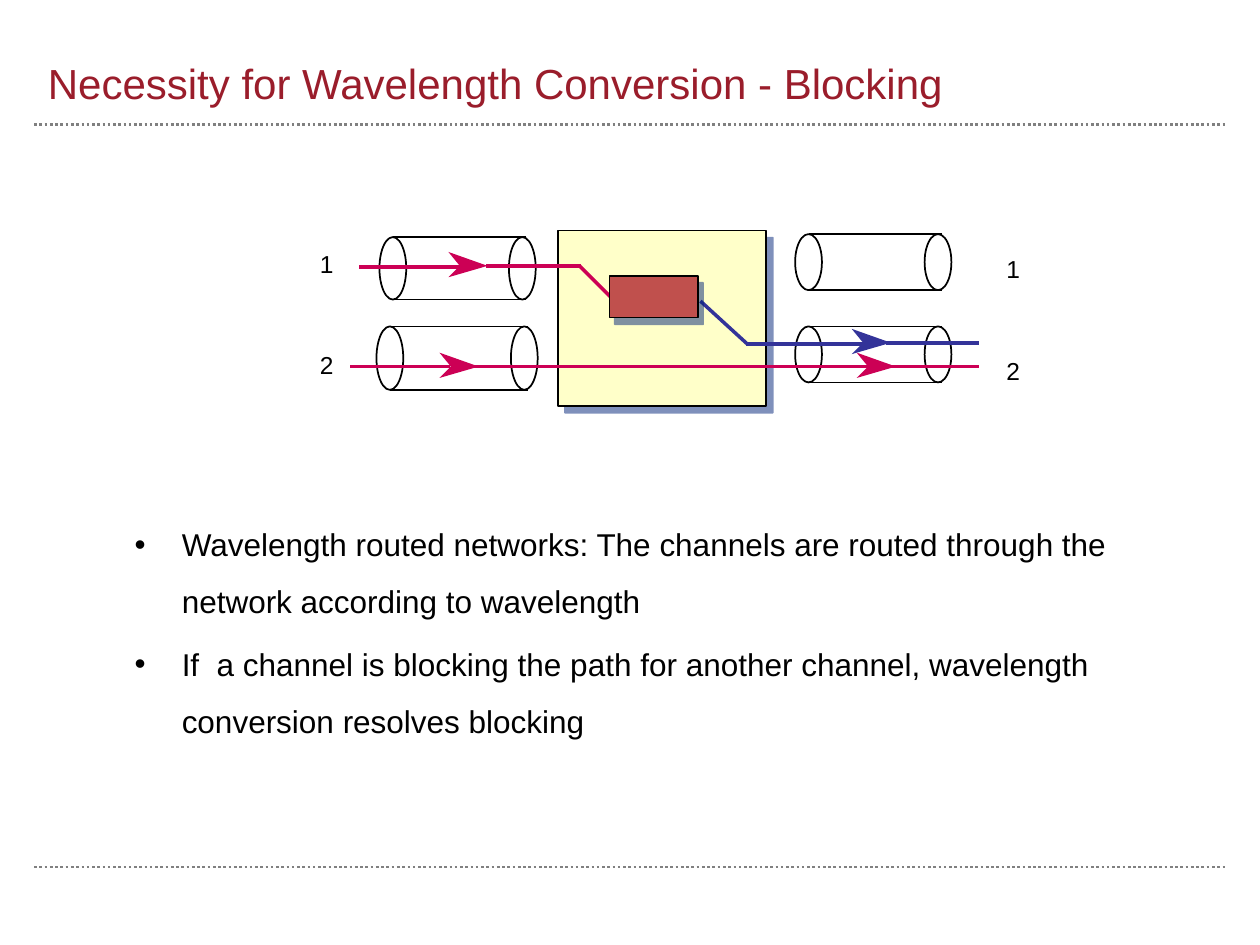
from dataclasses import dataclass
from lxml import etree
from pptx import Presentation
from pptx import util as u
from pptx.dml.color import RGBColor
from pptx.enum import dml, shapes, text
from pptx.oxml.ns import qn


@dataclass(frozen=True)
class Theme:
    font: str = "Arial"
    title: str = "9A1D2B"
    ink: str = "000000"
    paper: str = "FFFFFF"
    rule: str = "808080"
    node: str = "FFFFC9"
    conv: str = "C0504D"
    red: str = "CC0055"
    blue: str = "333399"
    shade: str = "012379"
    head: int = 24
    body: int = 18
    label: int = 14


T = Theme()


def hue(code):
    return RGBColor.from_string(code)


def place(shape, x, y, w, h):
    shape.left, shape.top = u.Cm(x), u.Cm(y)
    shape.width, shape.height = u.Cm(w), u.Cm(h)


def write(para, words, size, color):
    run = para.add_run()
    run.text = words
    run.font.name = T.font
    run.font.size = u.Pt(size)
    run.font.color.rgb = hue(color)


def line(slide, start, end, color, width=2, dash=None):
    ends = [u.Cm(v) for v in (*start, *end)]
    link = slide.shapes.add_connector(shapes.MSO_CONNECTOR.STRAIGHT, *ends)
    link.line.color.rgb = hue(color)
    link.line.width = u.Pt(width)
    if dash:
        link.line.dash_style = dash
    etree.SubElement(link._element.spPr, qn("a:effectLst"))


def solid(slide, kind, spot, fill):
    shape = slide.shapes.add_shape(kind, *[u.Cm(v) for v in spot])
    shape.shadow.inherit = False
    shape.fill.solid()
    shape.fill.fore_color.rgb = hue(fill)
    shape.line.color.rgb = hue(T.ink)
    shape.line.width = u.Pt(1)
    return shape


def shade(shape, dist, angle):
    effects = shape._element.spPr.find(qn("a:effectLst"))
    outer = etree.SubElement(effects, qn("a:outerShdw"), blurRad="0",
                             dist=str(u.Pt(dist)), dir=str(angle * 60000),
                             algn="ctr", rotWithShape="0")
    color = etree.SubElement(outer, qn("a:srgbClr"), val=T.shade)
    etree.SubElement(color, qn("a:alpha"), val="50000")


def block(slide, spot, fill, dist, angle):
    shade(solid(slide, shapes.MSO_SHAPE.RECTANGLE, spot, fill), dist, angle)


def fiber(slide, x, y, w, h):
    cap = 0.54
    oval = shapes.MSO_SHAPE.OVAL
    solid(slide, oval, (x, y, cap, h), T.paper)
    for edge in (y, y + h):
        line(slide, (x + cap / 2, edge), (x + w - 0.2, edge), T.ink, 1)
    solid(slide, oval, (x + w - cap, y, cap, h), T.paper)


def arrow(slide, x, y, color):
    tail = [(-0.79, 0.23), (-0.56, 0), (-0.79, -0.28)]
    path = slide.shapes.build_freeform(u.Cm(x), u.Cm(y))
    path.add_line_segments([(u.Cm(x + dx), u.Cm(y + dy)) for dx, dy in tail])
    shape = path.convert_to_shape()
    shape.shadow.inherit = False
    shape.fill.solid()
    shape.fill.fore_color.rgb = hue(color)
    shape.line.fill.background()


def label(slide, x, y, words):
    box = slide.shapes.add_textbox(u.Cm(x), u.Cm(y), u.Cm(0.79), u.Cm(0.86))
    box.text_frame.word_wrap = False
    write(box.text_frame.paragraphs[0], words, T.label, T.ink)


def title(slide, words):
    shape = slide.shapes.title
    place(shape, 0.71, 0.91, 20.4, 1.4)
    frame = shape.text_frame
    frame.auto_size = text.MSO_AUTO_SIZE.NONE
    frame.vertical_anchor = text.MSO_ANCHOR.BOTTOM
    para = frame.paragraphs[0]
    para.alignment = text.PP_ALIGN.LEFT
    write(para, words, T.head, T.title)


def points(slide, items):
    shape = slide.placeholders[1]
    place(shape, 2.46, 10.08, 21.59, 5.56)
    frame = shape.text_frame
    frame.auto_size = text.MSO_AUTO_SIZE.NONE
    for i, words in enumerate(items):
        para = frame.add_paragraph() if i else frame.paragraphs[0]
        para.line_spacing = 1.5
        para.space_before = u.Pt(3.6 if i else 0)
        props = para._p.get_or_add_pPr()
        props.set("marL", str(u.Cm(0.95)))
        props.set("indent", str(u.Cm(-0.95)))
        etree.SubElement(props, qn("a:buFont"), typeface=T.font)
        etree.SubElement(props, qn("a:buChar"), char="•")
        write(para, words, T.body, T.ink)


def diagram(slide):
    for spot in [(7.65, 4.78, 3.15, 1.26), (7.59, 6.58, 3.25, 1.28),
                 (16.03, 4.72, 3.15, 1.13), (16.03, 6.58, 3.15, 1.13)]:
        fiber(slide, *spot)
    block(slide, (11.25, 4.65, 4.19, 3.53), T.node, 5.7, 45)

    paths = [
        (T.red, (7.24, 5.38), (9.27, 5.38)),
        (T.red, (9.8, 5.36), (11.71, 5.36)),
        (T.red, (11.68, 5.36), (12.34, 6.02)),
        (T.red, (7.06, 7.39), (9.07, 7.39)),
        (T.red, (9.47, 7.39), (17.5, 7.39)),
        (T.red, (17.86, 7.39), (19.74, 7.39)),
        (T.blue, (14.12, 6.07), (15.06, 6.93)),
        (T.blue, (15.04, 6.93), (17.4, 6.93)),
        (T.blue, (17.86, 6.91), (19.74, 6.91)),
    ]
    for color, start, end in paths:
        line(slide, start, end, color)
    for x, y, color in [(9.83, 5.36, T.red), (9.65, 7.39, T.red),
                        (17.96, 6.91, T.blue), (18.06, 7.39, T.red)]:
        arrow(slide, x, y, color)

    block(slide, (12.29, 5.56, 1.78, 0.84), T.conv, 5, 53)
    for x, y, words in [(6.2, 4.9, "1"), (6.2, 6.93, "2"),
                        (20.04, 5, "1"), (20.04, 7.06, "2")]:
        label(slide, x, y, words)


def main():
    deck = Presentation()
    deck.slide_width, deck.slide_height = u.Cm(25.4), u.Cm(19.05)
    slide = deck.slides.add_slide(deck.slide_layouts[1])
    for y in (2.51, 17.48):
        line(slide, (0.69, y), (24.71, y), T.rule, 1.5,
             dml.MSO_LINE.ROUND_DOT)
    title(slide, "Necessity for Wavelength Conversion - Blocking")
    points(slide, [
        "Wavelength routed networks: The channels are routed through the "
        "network according to wavelength",
        "If  a channel is blocking the path for another channel, "
        "wavelength conversion resolves blocking",
    ])
    diagram(slide)
    deck.save("out.pptx")


if __name__ == "__main__":
    main()
